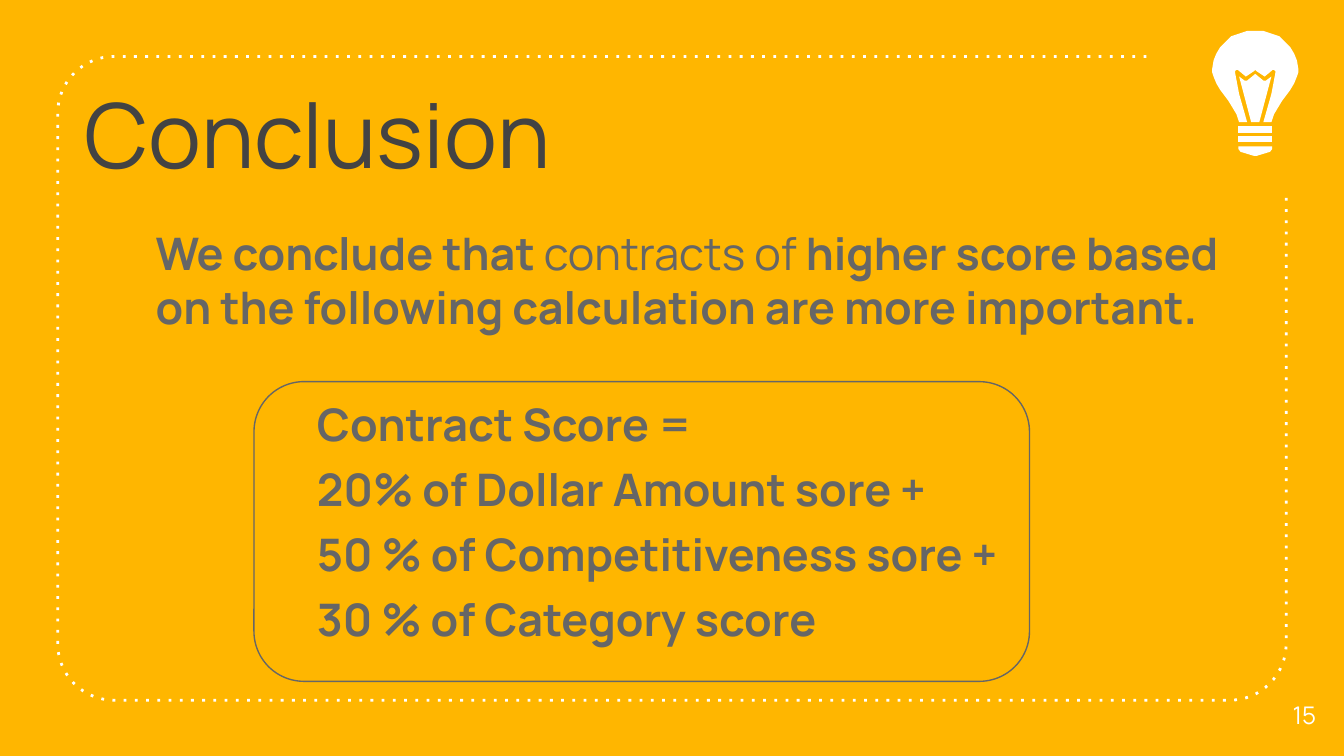
from math import cos, radians, sin

from pptx import Presentation
from pptx.dml.color import RGBColor
from pptx.enum.dml import MSO_LINE
from pptx.enum.shapes import MSO_SHAPE
from pptx.enum.text import MSO_ANCHOR as Anchor, PP_ALIGN as Align
from pptx.oxml.ns import qn
from pptx.util import Inches, Pt

AMBER, WHITE, GREY, CHARCOAL = "FFB600", "FFFFFF", "666666", "434343"

BULB_AXIS = 9.34
BULB_HALVES = [
    [(0.125, 1.01), (0.125, 1.06)],
    [(0.125, 0.94), (0.125, 0.99)],
    [(0.125, 1.09), (0.125, 1.11), (0.11, 1.13), (0.01, 1.16)],
    [(0, 0.55), (0.06, 0.6), (0.08, 0.6), (0.12, 0.57), (0.03, 0.91)],
    [(0, 0.23), (0.06, 0.23), (0.12, 0.25), (0.18, 0.27), (0.22, 0.31),
     (0.26, 0.35), (0.29, 0.4), (0.31, 0.45), (0.32, 0.51), (0.32, 0.54),
     (0.31, 0.57), (0.29, 0.62), (0.26, 0.67), (0.23, 0.71), (0.2, 0.75),
     (0.17, 0.8), (0.14, 0.85), (0.12, 0.91), (0.06, 0.91), (0.12, 0.7),
     (0.15, 0.54), (0.15, 0.53), (0.14, 0.52), (0.13, 0.52), (0.07, 0.57),
     (0.01, 0.53), (0, 0.52)],
]


def color(value):
    return RGBColor.from_string(value)


def corner(x, y, start, radius=0.42, steps=16):
    angles = [radians(start - 90 * step / steps) for step in range(steps + 1)]
    return [(x + radius * cos(a), y + radius * sin(a)) for a in angles]


def mirrored(half, axis):
    left = [(axis - offset, y) for offset, y in half]
    return left + [(axis + offset, y) for offset, y in reversed(half)]


class SlideBuilder:
    """Draws styled elements on the current slide."""

    font = "Manrope"

    def __init__(self, slide, background):
        self.slide = slide
        slide.background.fill.solid()
        slide.background.fill.fore_color.rgb = color(background)

    def style(self, shape, fill=None, line=None, width=0.75):
        shape.shadow.inherit = False
        if fill:
            shape.fill.solid()
            shape.fill.fore_color.rgb = color(fill)
        else:
            shape.fill.background()
        if line:
            shape.line.color.rgb = color(line)
            shape.line.width = Pt(width)
        else:
            shape.line.fill.background()
        return shape

    def outline(self, shapes, points, close, **style):
        start, *others = [(Inches(x), Inches(y)) for x, y in points]
        builder = shapes.build_freeform(*start)
        builder.add_line_segments(others, close=close)
        return self.style(builder.convert_to_shape(), **style)

    def dotted_frame(self, points, line):
        shape = self.outline(self.slide.shapes, points, False, line=line, width=1.5)
        shape.line.dash_style = MSO_LINE.ROUND_DOT
        shape.element.find(".//" + qn("a:prstDash")).set("val", "dot")

    def symmetric_icon(self, halves, axis, fill):
        group = self.slide.shapes.add_group_shape()
        for half in halves:
            self.outline(group.shapes, mirrored(half, axis), True, fill=fill)

    def rounded_box(self, box, line):
        shape = self.slide.shapes.add_shape(
            MSO_SHAPE.ROUNDED_RECTANGLE, *map(Inches, box))
        shape.adjustments[0] = 0.167
        self.style(shape, line=line)

    def text(self, box, paragraphs, size, ink, before=0,
             align=Align.LEFT, anchor=Anchor.TOP):
        frame = self.slide.shapes.add_textbox(*map(Inches, box)).text_frame
        margins = dict.fromkeys(
            ("margin_left", "margin_top", "margin_right", "margin_bottom"), Inches(0.1))
        for name, value in {"word_wrap": True, "vertical_anchor": anchor, **margins}.items():
            setattr(frame, name, value)
        for index, runs in enumerate(paragraphs):
            paragraph = frame.add_paragraph() if index else frame.paragraphs[0]
            paragraph.alignment = align
            paragraph.space_before = Pt(before)
            for words, bold in runs:
                run = paragraph.add_run()
                run.text = words
                run.font.color.rgb = color(ink)
                values = {"name": self.font, "size": Pt(size), "bold": bold}
                for name, value in values.items():
                    setattr(run.font, name, value)


def main():
    presentation = Presentation()
    presentation.slide_width, presentation.slide_height = Inches(10), Inches(5.625)
    slide = presentation.slides.add_slide(presentation.slide_layouts[6])
    builder = SlideBuilder(slide, AMBER)

    builder.dotted_frame(
        [(8.53, 0.42), *corner(0.85, 0.84, 270), *corner(0.85, 4.79, 180),
         *corner(9.15, 4.79, 90), (9.57, 1.46)], WHITE)
    builder.text((0.53, 0.49, 8.13, 0.94), [[("Conclusion", False)]], 48, CHARCOAL)
    builder.text((9.41, 5.02, 0.59, 0.6), [[("15", False)]], 13, WHITE,
                 align=Align.CENTER, anchor=Anchor.MIDDLE)
    builder.text((1.06, 1.58, 8.21, 1.18), [[
        ("We conclude that ", True),
        ("contracts of ", False),
        ("higher score based on the following calculation are more important.", True),
    ]], 24, GREY, before=6)
    builder.symmetric_icon(BULB_HALVES, BULB_AXIS, WHITE)
    builder.rounded_box((1.89, 2.84, 5.77, 2.23), GREY)
    formula = ["Contract Score =", "20% of Dollar Amount sore +",
               "50 % of Competitiveness sore +", "30 % of Category score"]
    builder.text((2.26, 2.85, 5.35, 2.17), [[(line, True)] for line in formula],
                 24, GREY, before=6)
    presentation.save("out.pptx")


if __name__ == "__main__":
    main()
